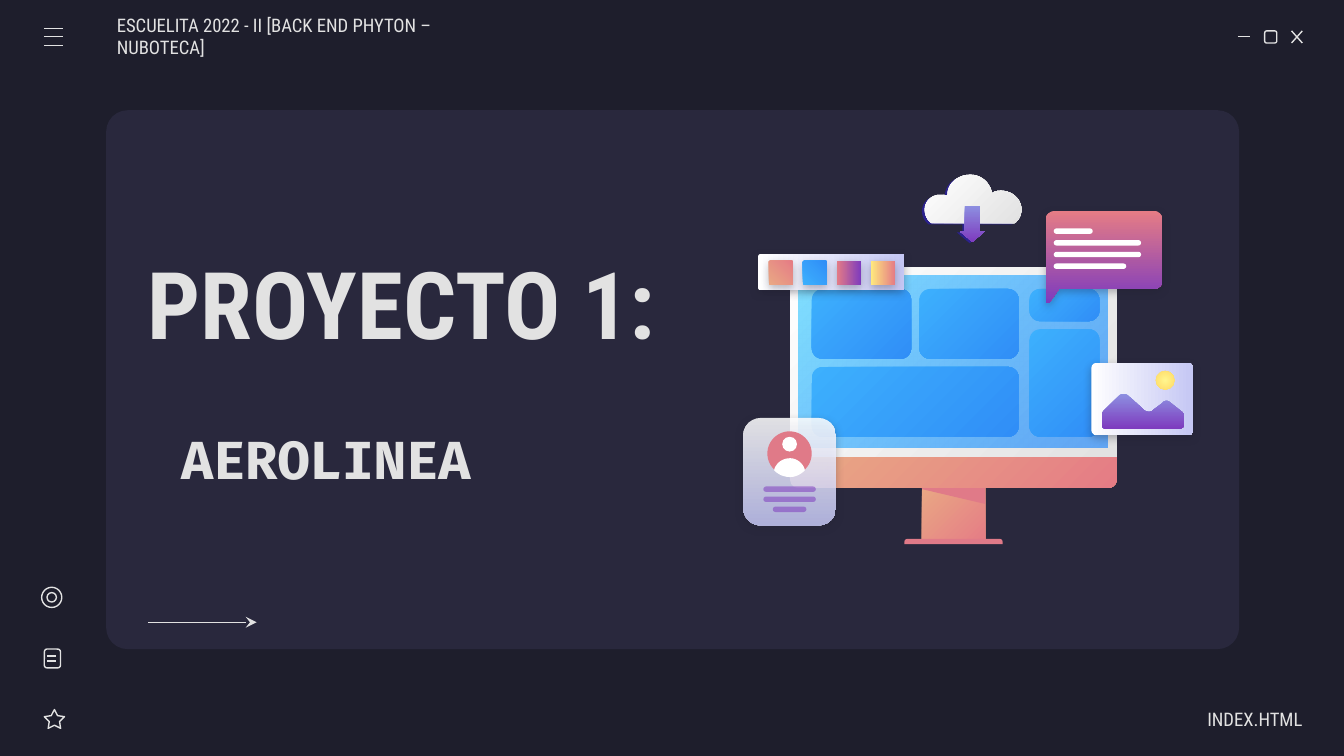
import dataclasses

import pptx
import pptx.dml.color
import pptx.enum.shapes
import pptx.enum.text
import pptx.oxml
import pptx.oxml.ns
import pptx.util

SHAPE = pptx.enum.shapes.MSO_SHAPE
ALIGN = pptx.enum.text.PP_ALIGN
qn = pptx.oxml.ns.qn
NS = pptx.oxml.ns.nsdecls("a")


@dataclasses.dataclass(frozen=True)
class Blend:
    start: str
    end: str
    angle: int = 45  # clockwise degrees; None spreads from the centre
    alphas: tuple = (100, 100)


@dataclasses.dataclass(frozen=True)
class Theme:
    back: str = "1E1E2C"
    panel: str = "29283D"
    light: str = "E2E2E2"
    white: str = "FFFFFF"
    rose: str = "E07A88"
    violet: str = "7E3BBE"
    cloud_shade: str = "2B218D"
    coral: Blend = Blend("E9A984", "E57C85")
    silver: Blend = Blend("FFFFFF", "E2E2E2")
    screen: Blend = Blend("80DFFF", "318FFA", 45, (100, 72))
    tile: Blend = Blend("3DB0FD", "308EF7")
    bubble: Blend = Blend("E57C85", "7E3BBE", 90)
    glass: Blend = Blend("FFFFFF", "C5C7F4", 90, (86, 86))
    card: Blend = Blend("FFFFFF", "C5C7F4", 0)
    indigo: Blend = Blend("8D90E1", "7E3BBE", 90)
    sun: Blend = Blend("FFF68E", "FFD966", None)
    swatches: tuple = (Blend("E9A984", "E57C85", 315), Blend("3DB0FD", "308EF7", 315),
                       Blend("E57C85", "7E3BBE", 0), Blend("FFEA7D", "E57C85", 0))
    font: str = "Roboto Condensed"
    code_font: str = "Fira Code"
    title_size: int = 50
    subtitle_size: int = 28
    label_size: int = 10
    stroke: float = 0.75


THEME = Theme()


def inch(value):
    return pptx.util.Cm(value * 2.54)


def rgb(code):
    return pptx.dml.color.RGBColor.from_string(code)


def set_alpha(color_element, percent):
    if percent < 100:
        color_element.append(pptx.oxml.parse_xml(f'<a:alpha {NS} val="{percent * 1000}"/>'))


def paint(shape, fill=None, alpha=100, shadow=False):
    """Fill the shape; one without a fill gets the thin icon outline."""
    shape.shadow.inherit = False
    properties = shape.element.spPr
    if fill is None:
        shape.fill.background()
        shape.line.color.rgb = rgb(THEME.light)
        shape.line.width = pptx.util.Pt(THEME.stroke)
        return shape
    shape.line.fill.background()
    if isinstance(fill, Blend):
        shape.fill.gradient()
        for stop, code in zip(shape.fill.gradient_stops, (fill.start, fill.end)):
            stop.color.rgb = rgb(code)
        colors = properties.find(qn("a:gradFill")).iter(qn("a:srgbClr"))
        for color, percent in zip(list(colors), fill.alphas):
            set_alpha(color, percent)
        if fill.angle is None:
            linear = properties.find(qn("a:gradFill")).find(qn("a:lin"))
            linear.getparent().replace(linear, pptx.oxml.parse_xml(
                f'<a:path {NS} path="circle"><a:fillToRect l="50000" t="50000" '
                'r="50000" b="50000"/></a:path>'))
        else:
            shape.fill.gradient_angle = -fill.angle % 360
    else:
        shape.fill.solid()
        shape.fill.fore_color.rgb = rgb(fill)
        set_alpha(properties.find(qn("a:solidFill"))[0], alpha)
    if shadow:
        properties.find(qn("a:effectLst")).append(pptx.oxml.parse_xml(
            f'<a:outerShdw {NS} blurRad="57150" dist="19050" dir="5400000" algn="bl" '
            f'rotWithShape="0"><a:srgbClr val="{THEME.back}"><a:alpha val="30000"/>'
            '</a:srgbClr></a:outerShdw>'))
    return shape


def add_preset(slide, kind, box, fill=None, adjust=(), **look):
    shape = slide.shapes.add_shape(kind, *map(inch, box))
    for index, value in enumerate(adjust):
        shape.adjustments[index] = value
    return paint(shape, fill, **look)


def add_rounded(slide, box, radius, fill=None, **look):
    ratio = min(radius / min(box[2:]), 0.5)
    return add_preset(slide, SHAPE.ROUNDED_RECTANGLE, box, fill, (ratio,), **look)


def add_outline(slide, start, steps, fill, **look):
    """Steps are points (x, y) or Bezier curves (x1, y1, x2, y2, x, y)."""
    points = [start]
    for step in steps:
        if len(step) == 2:
            points.append(step)
            continue
        corners = (points[-1], step[:2], step[2:4], step[4:])
        for t in (n / 10 for n in range(1, 11)):
            weights = ((1 - t) ** 3, 3 * t * (1 - t) ** 2, 3 * t * t * (1 - t), t ** 3)
            points.append(tuple(sum(w * c[axis] for w, c in zip(weights, corners))
                                for axis in (0, 1)))
    points = [(inch(x), inch(y)) for x, y in points]
    builder = slide.shapes.build_freeform(*points[0])
    builder.add_line_segments(points[1:], close=True)
    return paint(builder.convert_to_shape(), fill, **look)


def add_line(slide, x1, y1, x2, y2, arrow=False):
    line = slide.shapes.add_connector(pptx.enum.shapes.MSO_CONNECTOR.STRAIGHT,
                                      *map(inch, (x1, y1, x2, y2)))
    line.line.color.rgb = rgb(THEME.light)
    line.line.width = pptx.util.Pt(THEME.stroke)
    if arrow:
        line.line._get_or_add_ln().append(
            pptx.oxml.parse_xml(f'<a:tailEnd {NS} type="stealth"/>'))
    line.element.spPr.append(pptx.oxml.parse_xml(f"<a:effectLst {NS}/>"))


def set_text(holder, box, text, size, font=THEME.font, bold=False, align=ALIGN.LEFT,
             left=0.1, right=0.1):
    holder.left, holder.top, holder.width, holder.height = map(inch, box)
    frame = holder.text_frame
    frame.text = text
    frame.word_wrap = True
    frame.auto_size = pptx.enum.text.MSO_AUTO_SIZE.NONE
    frame.vertical_anchor = pptx.enum.text.MSO_ANCHOR.MIDDLE
    frame.margin_left, frame.margin_right = inch(left), inch(right)
    frame.margin_top = frame.margin_bottom = inch(0.1)
    paragraph = frame.paragraphs[0]
    paragraph.alignment = align
    style = paragraph.runs[0].font
    style.name, style.size, style.bold = font, pptx.util.Pt(size), bold
    style.color.rgb = rgb(THEME.light)
    return paragraph


def add_text(slide, box, *args, **look):
    return set_text(slide.shapes.add_textbox(*map(inch, box)), box, *args, **look)


def draw_icons(slide):
    # Menu and window controls
    for y in (0.21, 0.27, 0.34):
        add_line(slide, 0.33, y, 0.47, y)
    add_line(slide, 9.21, 0.27, 9.3, 0.27)
    add_rounded(slide, (9.41, 0.23, 0.09, 0.09), 0.015)
    add_line(slide, 9.61, 0.23, 9.69, 0.32)
    add_line(slide, 9.69, 0.23, 9.61, 0.32)
    # Sidebar: target, note and star
    add_preset(slide, SHAPE.OVAL, (0.31, 4.37, 0.15, 0.15))
    add_preset(slide, SHAPE.OVAL, (0.35, 4.41, 0.07, 0.07))
    add_rounded(slide, (0.33, 4.83, 0.12, 0.14), 0.02)
    for y in (4.88, 4.92):
        add_line(slide, 0.35, y, 0.42, y)
    add_preset(slide, SHAPE.STAR_5_POINT, (0.33, 5.28, 0.15, 0.14), adjust=(0.254,))


def draw_monitor(slide):
    half_round = SHAPE.ROUND_2_SAME_RECTANGLE
    add_preset(slide, SHAPE.RECTANGLE, (6.86, 3.61, 0.47, 0.43), THEME.coral)
    add_preset(slide, half_round, (6.73, 4.01, 0.73, 0.04), THEME.rose, (0.5, 0))
    add_outline(slide, (6.86, 3.61), [(6.86, 3.64), (7.33, 3.75), (7.33, 3.61)], THEME.rose)
    add_preset(slide, half_round, (5.88, 3.39, 2.43, 0.24), THEME.coral, (0, 0.25))
    add_preset(slide, half_round, (5.88, 1.99, 2.43, 1.41), THEME.silver, (0.04, 0))
    add_preset(slide, SHAPE.RECTANGLE, (5.94, 2.05, 2.3, 1.28), THEME.screen)
    for tile in ((6.04, 2.15, 0.74, 0.52), (6.84, 2.15, 0.74, 0.52), (6.04, 2.73, 1.54, 0.52),
                 (7.66, 2.15, 0.52, 0.24), (7.66, 2.45, 0.52, 0.8)):
        add_rounded(slide, tile, 0.08, THEME.tile)


def draw_bubble(slide):
    add_outline(slide, (7.85, 1.57), [
        (7.81, 1.57, 7.78, 1.6, 7.78, 1.64), (7.78, 2.24), (7.78, 2.25, 7.8, 2.26, 7.81, 2.25),
        (7.88, 2.15), (8.59, 2.15), (8.62, 2.15, 8.65, 2.12, 8.65, 2.09), (8.65, 1.64),
        (8.65, 1.6, 8.62, 1.57, 8.59, 1.57)], THEME.bubble, shadow=True)
    for row, width in enumerate((0.29, 0.65, 0.65, 0.54)):
        add_rounded(slide, (7.84, 1.7 + row * 0.087, width, 0.04), 0.02, THEME.white)


def draw_profile(slide):
    add_rounded(slide, (5.53, 3.11, 0.69, 0.8), 0.13, THEME.glass, shadow=True)
    add_preset(slide, SHAPE.OVAL, (5.71, 3.21, 0.33, 0.33), THEME.rose)
    add_preset(slide, SHAPE.OVAL, (5.82, 3.25, 0.11, 0.11), THEME.white)
    add_outline(slide, (5.88, 3.41), [
        (5.82, 3.41, 5.77, 3.45, 5.76, 3.5), (5.79, 3.53, 5.83, 3.55, 5.88, 3.55),
        (5.92, 3.55, 5.96, 3.53, 5.99, 3.5), (5.98, 3.45, 5.93, 3.41, 5.88, 3.41)], THEME.white)
    for row, width in enumerate((0.39, 0.39, 0.25)):
        bar = (5.875 - width / 2, 3.62 + row * 0.075, width, 0.04)
        add_rounded(slide, bar, 0.02, THEME.violet, alpha=54)


def draw_photo(slide):
    add_rounded(slide, (8.12, 2.7, 0.76, 0.54), 0.04, THEME.card, shadow=True)
    add_outline(slide, (8.36, 2.93), [
        (8.35, 2.93, 8.34, 2.93, 8.33, 2.94), (8.21, 3.06), (8.2, 3.08), (8.2, 3.16),
        (8.2, 3.18, 8.21, 3.19, 8.23, 3.19), (8.77, 3.19), (8.79, 3.19, 8.81, 3.18, 8.81, 3.16),
        (8.81, 3.09), (8.8, 3.07), (8.7, 2.99), (8.69, 2.98, 8.66, 2.98, 8.65, 3), (8.57, 3.06),
        (8.56, 3.07, 8.53, 3.07, 8.51, 3.05), (8.39, 2.94),
        (8.38, 2.93, 8.37, 2.93, 8.36, 2.93)], THEME.indigo)
    add_preset(slide, SHAPE.OVAL, (8.6, 2.76, 0.14, 0.14), THEME.sun)


def draw_palette(slide):
    add_rounded(slide, (5.64, 1.89, 1.09, 0.27), 0.02, THEME.card, shadow=True)
    for column, swatch in enumerate(THEME.swatches):
        box = (5.72 + column * 0.253, 1.94, 0.18, 0.18)
        add_rounded(slide, box, 0.01, swatch, shadow=True)


def draw_cloud(slide):
    curves = [(7.13, 1.3, 7.05, 1.36, 7.05, 1.45), (7.05, 1.46),
              (7.04, 1.45, 7.02, 1.45, 6.99, 1.45), (6.93, 1.45, 6.88, 1.5, 6.88, 1.56),
              (6.88, 1.6, 6.9, 1.64, 6.93, 1.66), (7.55, 1.66),
              (7.58, 1.64, 7.6, 1.6, 7.6, 1.56), (7.6, 1.48, 7.53, 1.42, 7.45, 1.42),
              (7.43, 1.42, 7.4, 1.42, 7.38, 1.44), (7.37, 1.36, 7.3, 1.3, 7.22, 1.3)]
    layers = ((-0.02, 0.01, THEME.cloud_shade, THEME.cloud_shade),
              (0, 0, THEME.silver, THEME.indigo))
    for dx, dy, cloud, arrow in layers:
        moved = [tuple(v + (dx, dy)[i % 2] for i, v in enumerate(step)) for step in curves]
        add_outline(slide, (7.22 + dx, 1.3 + dy), moved, cloud)
        add_preset(slide, SHAPE.DOWN_ARROW, (7.14 + dx, 1.53 + dy, 0.19, 0.27), arrow,
                   (0.58, 0.42))


def main():
    deck = pptx.Presentation()
    deck.slide_width, deck.slide_height = inch(10), inch(5.625)
    slide = deck.slides.add_slide(deck.slide_layouts[5])
    slide.background.fill.solid()
    slide.background.fill.fore_color.rgb = rgb(THEME.back)

    # Panel behind the title
    panel = add_rounded(slide, (0.79, 0.82, 8.43, 4.01), 0.16, THEME.panel)
    title = slide.shapes.title
    title.element.addprevious(panel.element)
    set_text(title, (1, 1.77, 4.47, 0.95), "PROYECTO 1:", THEME.title_size, bold=True)

    # Labels and subtitle
    add_text(slide, (0.87, 0.12, 3.04, 0.3), "ESCUELITA 2022 - II [BACK END PHYTON – NUBOTECA]",
             THEME.label_size, left=0)
    add_text(slide, (8.52, 5.2, 1.17, 0.3), "INDEX.HTML", THEME.label_size,
             align=ALIGN.RIGHT, right=0)
    subtitle = add_text(slide, (1.1, 3.18, 3.24, 0.46), "AEROLINEA", THEME.subtitle_size,
                        font=THEME.code_font, bold=True)
    indents = subtitle._p.get_or_add_pPr()
    indents.set("marL", str(inch(0.5)))
    indents.set("indent", str(inch(-0.35)))
    add_line(slide, 1.1, 4.63, 1.91, 4.63, arrow=True)

    # Icons and illustration
    for draw in (draw_icons, draw_monitor, draw_bubble, draw_profile, draw_photo,
                 draw_palette, draw_cloud):
        draw(slide)
    deck.save("out.pptx")


if __name__ == "__main__":
    main()
